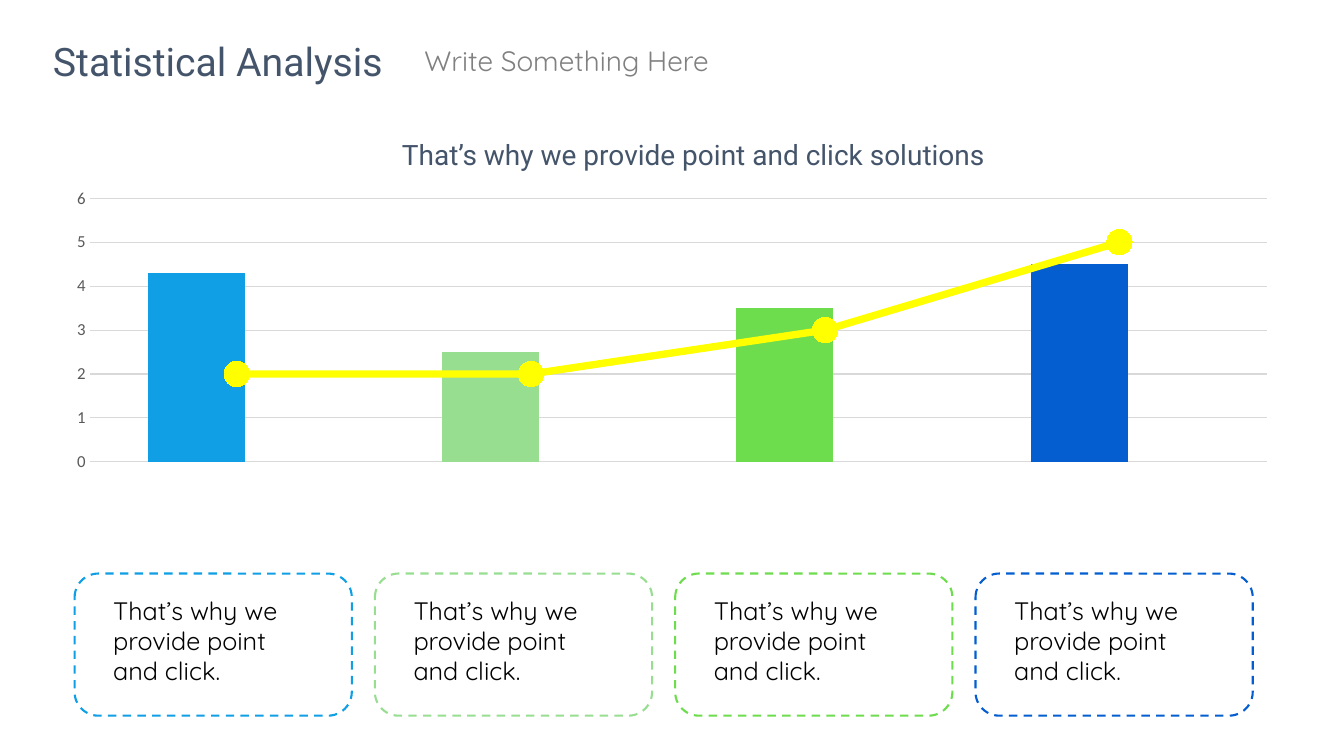
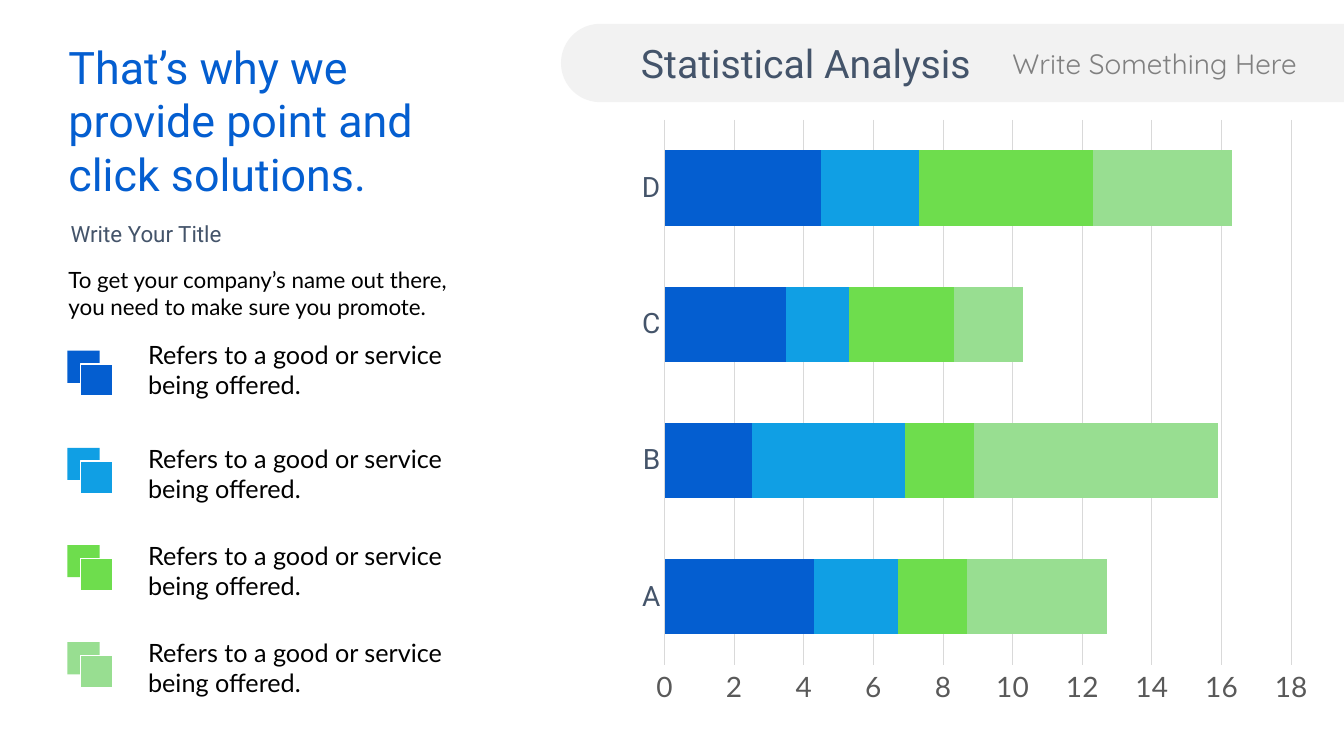
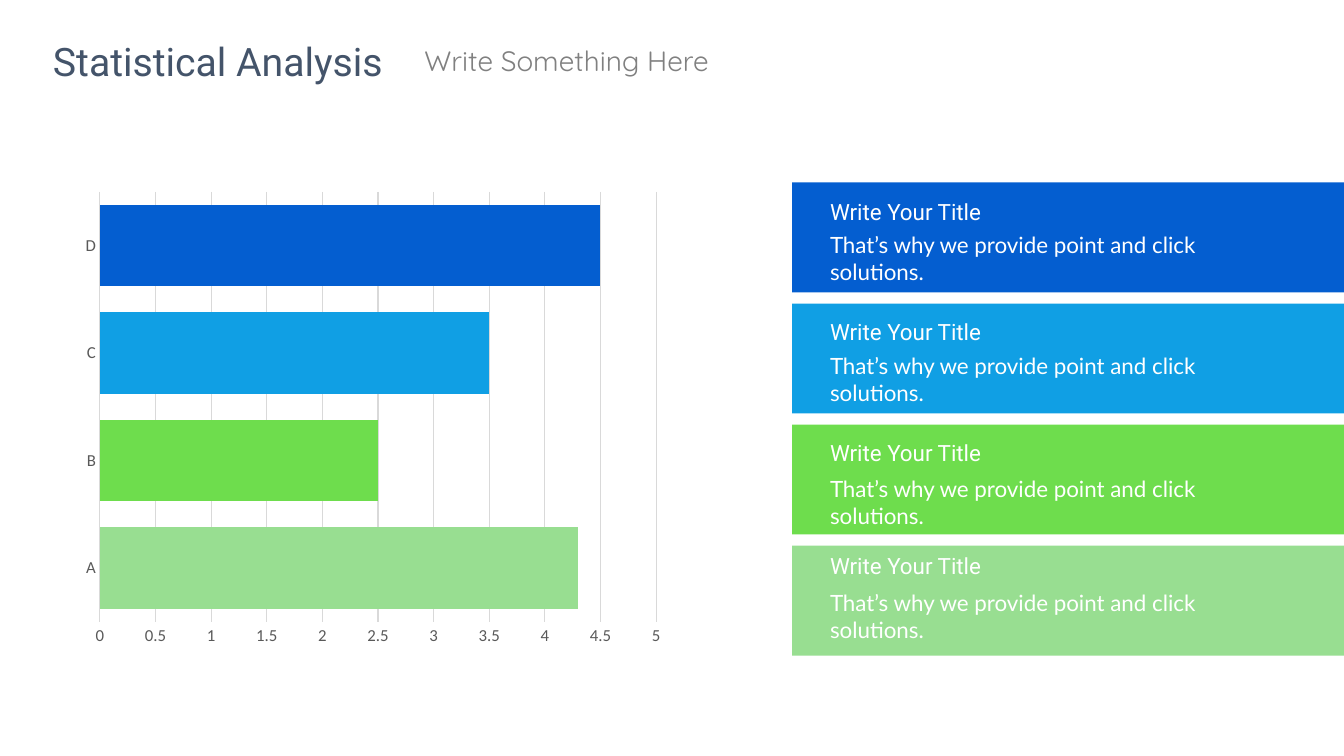
from pptx import Presentation
from pptx import util as u
from pptx.chart import data as cd
from pptx.dml import color as dc
from pptx.enum import chart as ec, dml, shapes, text as et
from pptx.oxml import ns, parse_xml

Pt = u.Pt
COLORS = {
    "blue": "045ED0", "sky": "109FE4", "green": "6EDD4D", "mint": "98DE91",
    "slate": "44546A", "subtitle": "808080", "black": "000000", "white": "FFFFFF",
    "axis": "595959", "grid": "D9D9D9", "band": "F2F2F2", "trend": "FFFF00",
    "spare": "ED7D31",
}
ACCENTS = ["blue", "sky", "green", "mint"]
PITCH = "That’s why we provide point and click solutions"


# Basic parts
def rgb(name):
    return dc.RGBColor.from_string(COLORS[name])


def paint(part, name):
    part.fill.solid()
    part.fill.fore_color.rgb = rgb(name)


def add_text(slide, words, box, size=16, font="Lato", color="black",
             align=et.PP_ALIGN.LEFT, anchor=et.MSO_ANCHOR.TOP):
    frame = slide.shapes.add_textbox(*map(Pt, box)).text_frame
    frame.word_wrap = True
    frame.auto_size = et.MSO_AUTO_SIZE.SHAPE_TO_FIT_TEXT
    frame.vertical_anchor = anchor
    line = frame.paragraphs[0]
    line.text = words
    line.alignment = align
    line.font.size = Pt(size)
    line.font.name = font
    line.font.color.rgb = rgb(color)


def add_box(slide, box, fill=None, line=None, weight=1, kind="RECTANGLE"):
    shape = slide.shapes.add_shape(shapes.MSO_SHAPE[kind], *map(Pt, box))
    shape.shadow.inherit = False
    if fill:
        paint(shape, fill)
    else:
        shape.fill.background()
    if line:
        shape.line.color.rgb = rgb(line)
        shape.line.width = Pt(weight)
    else:
        shape.line.fill.background()
    return shape


def header(slide, left, top, subtitle_width):
    add_text(slide, "Statistical Analysis", (left, top, 253.5, 41), size=28,
             font="Roboto", color="slate", align=et.PP_ALIGN.CENTER)
    add_text(slide, "Write Something Here", (left + 267.3, top + 4.6, subtitle_width, 31.5),
             size=20, font="Quicksand", color="subtitle")


# Charts
def style_labels(axis, size, font, color):
    axis.major_tick_mark = axis.minor_tick_mark = ec.XL_TICK_MARK.NONE
    labels = axis.tick_labels.font
    labels.size, labels.name = Pt(size), font
    labels.color.rgb = rgb(color)


def add_chart(slide, box, kind, categories, series, gap, overlap, top_value, step,
              size=12, font="Calibri", category_font="Calibri", category_color="axis"):
    data = cd.CategoryChartData()
    data.categories = categories
    for number, values in enumerate(series, 1):
        data.add_series(f"Series {number}", values)
    chart = slide.shapes.add_chart(ec.XL_CHART_TYPE[kind], *map(Pt, box), data).chart
    chart.has_legend = chart.has_title = False
    chart.font.size, chart.font.name = Pt(size), font
    chart.font.color.rgb = rgb("black")

    bars = chart.plots[0]
    bars.vary_by_categories = False
    bars.gap_width, bars.overlap = gap, overlap

    values_axis = chart.value_axis
    style_labels(values_axis, size, font, "axis")
    values_axis.minimum_scale, values_axis.maximum_scale = 0, top_value
    values_axis.major_unit = step
    values_axis.format.line.fill.background()
    values_axis.has_major_gridlines = True
    style_labels(chart.category_axis, size, category_font, category_color)
    for line in (values_axis.major_gridlines.format.line, chart.category_axis.format.line):
        line.color.rgb = rgb("grid")
        line.width = Pt(0.75)
    return chart


def color_points(series, names):
    for index, name in enumerate(names):
        paint(series.points[index].format, name)


def turn_last_series_into_line(chart):
    bars = chart._chartSpace.find(".//" + ns.qn("c:barChart"))
    trend = bars.findall(ns.qn("c:ser"))[-1]
    for bar_setting in trend.findall(ns.qn("c:invertIfNegative")):
        trend.remove(bar_setting)
    axes = "".join(f'<c:axId val="{axis.get("val")}"/>'
                   for axis in bars.findall(ns.qn("c:axId")))
    line_plot = parse_xml(
        f'<c:lineChart {ns.nsdecls("c")}><c:grouping val="standard"/>'
        f'<c:varyColors val="0"/><c:marker val="1"/>{axes}</c:lineChart>')
    line_plot.insert(2, trend)
    bars.addnext(line_plot)
    return chart.plots[1].series[0]


def trend_chart(slide, box):
    chart = add_chart(slide, box, "COLUMN_CLUSTERED", ["1", "2", "3", "4"],
                      [(4.3, 2.5, 3.5, 4.5), (None,) * 4, (2, 2, 3, 5)],
                      gap=120, overlap=17, top_value=6, step=1)
    chart.category_axis.visible = False
    trend = turn_last_series_into_line(chart)
    columns, spare = chart.plots[0].series
    color_points(columns, ["sky", "mint", "green", "blue"])
    paint(spare.format, "spare")
    trend.smooth = False
    trend.format.line.color.rgb = rgb("trend")
    trend.format.line.width = Pt(5.25)
    trend.marker.style, trend.marker.size = ec.XL_MARKER_STYLE.CIRCLE, 18
    paint(trend.marker.format, "trend")
    trend.marker.format.line.color.rgb = rgb("trend")


def stacked_chart(slide, box):
    chart = add_chart(slide, box, "BAR_STACKED", list("ABCD"),
                      [(4.3, 2.5, 3.5, 4.5), (2.4, 4.4, 1.8, 2.8), (2, 2, 3, 5), (4, 7, 2, 4)],
                      gap=81, overlap=100, top_value=18, step=2, size=20, font="Lato",
                      category_font="Roboto", category_color="slate")
    for series, name in zip(chart.plots[0].series, ACCENTS):
        paint(series.format, name)


def ranking_chart(slide, box):
    chart = add_chart(slide, box, "BAR_CLUSTERED", list("ABCD"), [(4.3, 2.5, 3.5, 4.5)],
                      gap=32, overlap=-100, top_value=5, step=0.5)
    color_points(chart.plots[0].series[0], reversed(ACCENTS))


# Regions
def dashed_card(slide, left, top, color):
    card = add_box(slide, (left, top, 198, 101.5), line=color, weight=1.5,
                   kind="ROUNDED_RECTANGLE")
    card.line.dash_style = dml.MSO_LINE.DASH
    add_text(slide, "That’s why we provide point and click.",
             (left + 20.5, top + 11.5, 158.4, 72.7), size=18, font="Quicksand",
             anchor=et.MSO_ANCHOR.MIDDLE)


def header_band(slide, left, top, width, height):
    shift = (width - height) / 2
    band = add_box(slide, (left + shift, top - shift, height, width), fill="band",
                   kind="ROUND_2_SAME_RECTANGLE")
    band.rotation = 270
    band.adjustments[0], band.adjustments[1] = 0.5, 0


def intro(slide, left, top):
    add_text(slide, PITCH + ".", (left, top, 304, 124), size=32, font="Roboto", color="blue")
    add_text(slide, "Write Your Title", (left + 1.5, top + 129.5, 225.5, 26.6),
             font="Roboto", color="slate")
    add_text(slide, "To get your company’s name out there, you need to make sure you promote.",
             (left, top + 162, 304, 46))


def legend_item(slide, left, top, color, lift):
    add_box(slide, (left, top, 23, 23), fill=color)
    add_box(slide, (left + 9.5, top + 9.5, 23, 23), fill=color, line="white")
    add_text(slide, "Refers to a good or service being offered.",
             (left + 50.5, top - lift, 247, 51), size=18)


def message_panel(slide, left, top, color, title_drop, body_drop):
    add_box(slide, (left, top, 394.2, 78.5), fill=color)
    add_text(slide, PITCH + ".", (left + 20, top + body_drop, 308, 46), color="white")
    add_text(slide, "Write Your Title", (left + 20, top + title_drop, 159, 26.6),
             font="Roboto", color="white")


# Slides
def trend_slide(slide):
    header(slide, 28.8, 23, 288)
    trend_chart(slide, (37.4, 130.3, 885, 211))
    add_text(slide, PITCH, (280, 95, 451, 31.5), size=20, font="Roboto", color="slate")
    for column, color in enumerate(["sky", "mint", "green", "blue"]):
        dashed_card(slide, 53.3 + 214.5 * column, 409.7, color)


def stacked_slide(slide):
    header_band(slide, 400.7, 17, 559.3, 56)
    header(slide, 448.8, 24.7, 228)
    stacked_chart(slide, (448.6, 77, 495.4, 434.2))
    intro(slide, 41.8, 24.5)
    for row, color in enumerate(ACCENTS):
        legend_item(slide, 48.2, 250.5 + 69.4 * row, color, lift=7 if row else 12)


def ranking_slide(slide):
    header(slide, 28.8, 23, 238)
    ranking_chart(slide, (52.6, 130.3, 427.7, 337.7))
    drops = [(7.9, 31), (7.2, 31), (6.5, 32.4), (1.4, 27.4)]
    for row, (color, drop) in enumerate(zip(ACCENTS, drops)):
        message_panel(slide, 565.8, 130.3 + 86.5 * row, color, *drop)


def main():
    deck = Presentation()
    deck.slide_width, deck.slide_height = Pt(960), Pt(540)
    for build in (trend_slide, stacked_slide, ranking_slide):
        build(deck.slides.add_slide(deck.slide_layouts[6]))
    deck.save("out.pptx")


if __name__ == "__main__":
    main()
